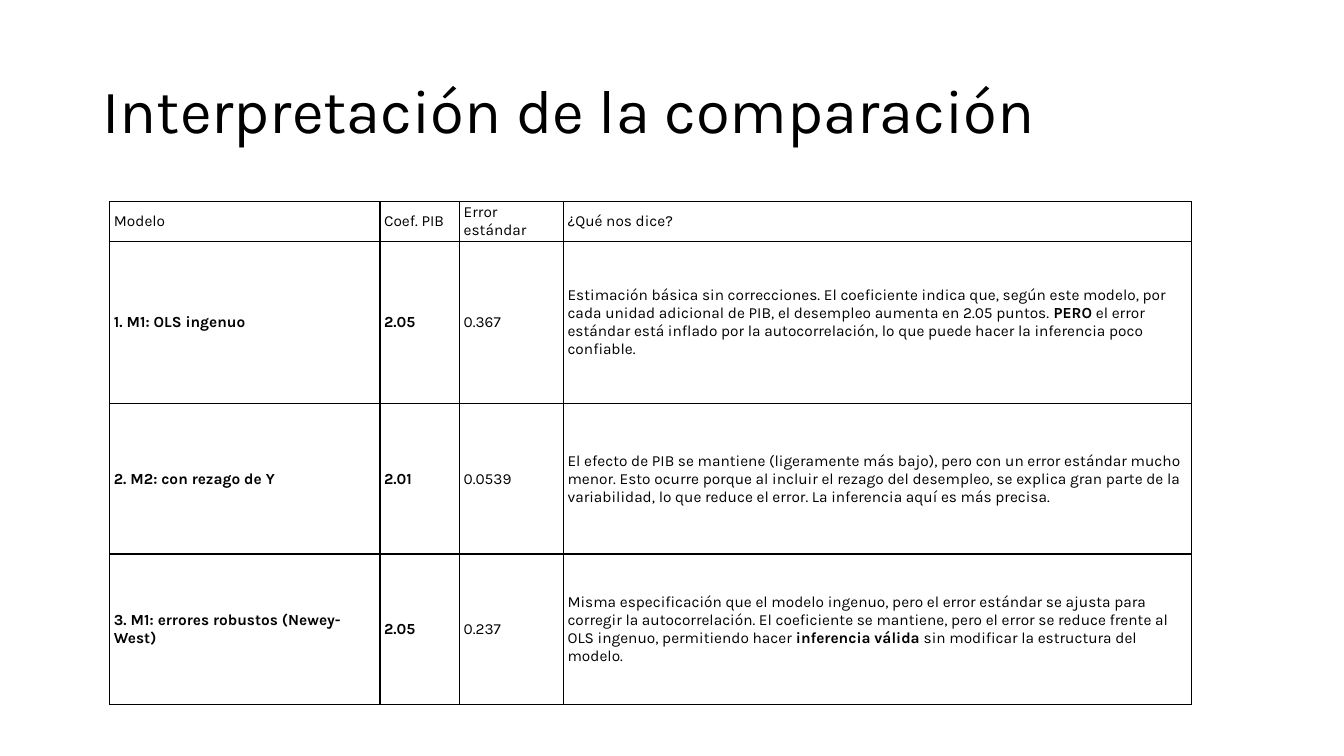
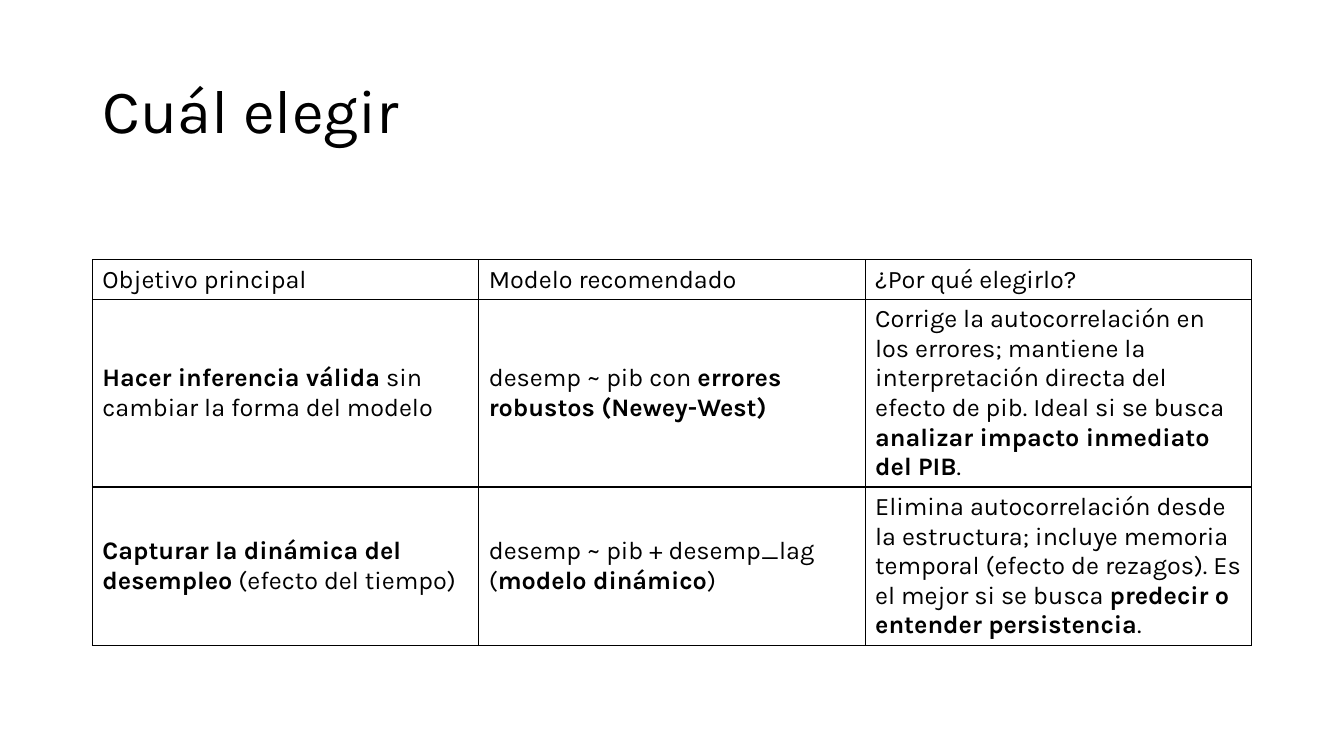
"""Build two slides that compare regression models in bordered tables."""
from lxml import etree
from pptx import Presentation
from pptx.dml.color import RGBColor
from pptx.enum.text import MSO_ANCHOR, PP_ALIGN
from pptx.oxml.ns import qn
from pptx.util import Pt

MIDDLE = MSO_ANCHOR.MIDDLE
LEFT = PP_ALIGN.LEFT
FONT = "Karla"
BLACK = "000000"
TITLE_ONLY = 5

PAGES = [
    {
        "title": "Interpretación de la comparación",
        "left": 78.5, "top": 144, "size": 11, "margins": (2.88, 1.44),
        "columns": [193, 56.9, 74.2, 448.6],
        "rows": [28.6, 115.9, 107.3, 107.3],
        "cells": [
            ["Modelo", "Coef. PIB", "Error estándar", "¿Qué nos dice?"],
            ["**1. M1: OLS ingenuo**", "**2.05**", "0.367",
             "Estimación básica sin correcciones. El coeficiente indica que, según este "
             "modelo, por cada unidad adicional de PIB, el desempleo aumenta en 2.05 puntos. "
             "**PERO** el error estándar está inflado por la autocorrelación, lo que puede "
             "hacer la inferencia poco confiable."],
            ["**2. M2: con rezago de Y**", "**2.01**", "0.0539",
             "El efecto de PIB se mantiene (ligeramente más bajo), pero con un error estándar "
             "mucho menor. Esto ocurre porque al incluir el rezago del desempleo, se explica "
             "gran parte de la variabilidad, lo que reduce el error. La inferencia aquí es "
             "más precisa."],
            ["**3. M1: errores robustos (Newey-West)**", "**2.05**", "0.237",
             "Misma especificación que el modelo ingenuo, pero el error estándar se ajusta "
             "para corregir la autocorrelación. El coeficiente se mantiene, pero el error se "
             "reduce frente al OLS ingenuo, permitiendo hacer **inferencia válida** sin "
             "modificar la estructura del modelo."],
        ],
    },
    {
        "title": "Cuál elegir",
        "left": 66, "top": 185.5, "size": 18, "margins": (7.2, 3.6),
        "columns": [276] * 3,
        "rows": [28.5, 133.5, 113],
        "cells": [
            ["Objetivo principal", "Modelo recomendado", "¿Por qué elegirlo?"],
            ["**Hacer inferencia válida** sin cambiar la forma del modelo",
             "desemp ~ pib con **errores robustos (Newey-West)**",
             "Corrige la autocorrelación en los errores; mantiene la interpretación directa "
             "del efecto de pib. Ideal si se busca **analizar impacto inmediato del PIB**."],
            ["**Capturar la dinámica del desempleo** (efecto del tiempo)",
             "desemp ~ pib + desemp_lag (**modelo dinámico**)",
             "Elimina autocorrelación desde la estructura; incluye memoria temporal (efecto "
             "de rezagos). Es el mejor si se busca **predecir o entender persistencia**."],
        ],
    },
]


def style(span, size, bold=False):
    span.font.name = FONT
    span.font.size = Pt(size)
    span.font.bold = bold
    span.font.color.rgb = RGBColor.from_string(BLACK)


def add_borders(cell):
    properties = cell._tc.get_or_add_tcPr()
    for index, side in enumerate(("lnL", "lnR", "lnT", "lnB")):
        line = etree.Element(qn(f"a:{side}"), w=str(Pt(1)))
        fill = etree.SubElement(line, qn("a:solidFill"))
        etree.SubElement(fill, qn("a:srgbClr"), val=BLACK)
        properties.insert(index, line)


deck = Presentation()
deck.slide_width = Pt(960)
deck.slide_height = Pt(540)
layout = deck.slide_layouts[TITLE_ONLY]
title_box = layout.placeholders[0]
title_box.left, title_box.top = Pt(66), Pt(28.75)
title_box.width, title_box.height = Pt(828), Pt(104.4)

for content in PAGES:
    page = deck.slides.add_slide(layout)
    title = page.shapes.title.text_frame
    title.text = content["title"]
    title.vertical_anchor = MIDDLE
    heading = title.paragraphs[0]
    heading.alignment = LEFT
    heading.line_spacing = 0.9
    style(heading.runs[0], 44)

    columns, rows = content["columns"], content["rows"]
    table = page.shapes.add_table(
        len(rows), len(columns), Pt(content["left"]), Pt(content["top"]),
        Pt(sum(columns)), Pt(sum(rows))).table
    table.first_row = False
    table.horz_banding = False
    for column, width in zip(table.columns, columns):
        column.width = Pt(width)
    for row, height, texts in zip(table.rows, rows, content["cells"]):
        row.height = Pt(height)
        for cell, text in zip(row.cells, texts):
            across, down = content["margins"]
            cell.margin_left = cell.margin_right = Pt(across)
            cell.margin_top = cell.margin_bottom = Pt(down)
            cell.vertical_anchor = MIDDLE
            cell.fill.background()
            add_borders(cell)
            para = cell.text_frame.paragraphs[0]
            for index, part in enumerate(text.split("**")):
                if part:
                    span = para.add_run()
                    span.text = part
                    style(span, content["size"], bold=index % 2 == 1)

deck.save("out.pptx")
